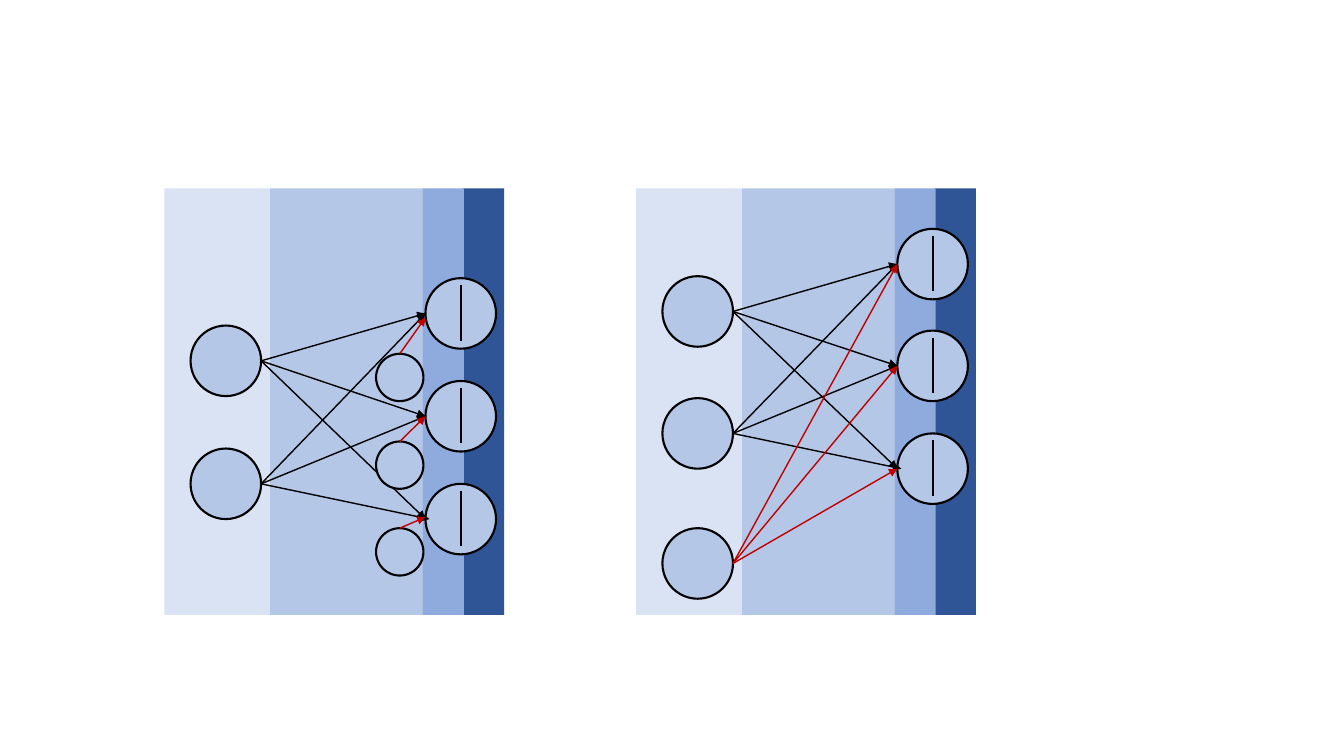
"""Draw two small neural networks, with separate bias nodes and with a shared bias input."""
from dataclasses import dataclass

from lxml import etree
from pptx import Presentation
from pptx import util as u
from pptx.dml.color import RGBColor
from pptx.enum import shapes
from pptx.oxml.ns import qn


@dataclass(frozen=True)
class Theme:
    """Hold colours and line widths."""
    input_band: str = "DAE3F3"
    weight_band: str = "B4C7E7"
    sum_band: str = "8FAADC"
    output_band: str = "2F5597"
    node: str = "B4C7E7"
    ink: str = "000000"
    bias: str = "C00000"
    outline: float = 1.5
    link: float = 1


NODE = 0.7
BIAS_NODE = 0.47
BAND_TOP = 1.87
BAND_HEIGHT = 4.23
INPUT_X = 0.26
OUTPUT_X = 2.59
BIAS_X = 2.1


class Diagram:
    """Draw network parts on one slide in one style."""

    def __init__(self, slide, theme):
        """Keep the slide and the style."""
        self.slide = slide
        self.theme = theme

    def start_network(self, left):
        """Open a group whose parts are placed from the given left edge."""
        self.group = self.slide.shapes.add_group_shape()
        self.left = left

    def shape(self, preset, x, y, width, height, fill):
        """Add a filled shape without a line."""
        shape = self.group.shapes.add_shape(
            preset, u.Inches(self.left + x), u.Inches(y), u.Inches(width), u.Inches(height))
        shape.shadow.inherit = False
        shape.fill.solid()
        shape.fill.fore_color.rgb = RGBColor.from_string(fill)
        shape.line.fill.background()
        return shape

    def bands(self):
        """Add the four layer bands."""
        theme = self.theme
        for x, width, fill in ((2.96, 0.41, theme.output_band), (0, 1.05, theme.input_band),
                               (1.05, 1.51, theme.weight_band), (2.56, 0.41, theme.sum_band)):
            self.shape(shapes.MSO_SHAPE.RECTANGLE, x, BAND_TOP, width, BAND_HEIGHT, fill)

    def node(self, x, y, size=NODE):
        """Add an outlined circle."""
        circle = self.shape(shapes.MSO_SHAPE.OVAL, x, y, size, size, self.theme.node)
        circle.line.color.rgb = RGBColor.from_string(self.theme.ink)
        circle.line.width = u.Pt(self.theme.outline)

    def line(self, start, end, color, width):
        """Add a straight line."""
        connector = self.group.shapes.add_connector(
            shapes.MSO_CONNECTOR.STRAIGHT,
            u.Inches(self.left + start[0]), u.Inches(start[1]),
            u.Inches(self.left + end[0]), u.Inches(end[1]))
        connector.line.color.rgb = RGBColor.from_string(color)
        connector.line.width = u.Pt(width)
        etree.SubElement(connector.element.spPr, qn("a:effectLst"))
        return connector

    def arrow(self, start, end, color):
        """Add a link with a triangular head."""
        connector = self.line(start, end, color, self.theme.link)
        outline = connector.element.spPr.find(qn("a:ln"))
        etree.SubElement(outline, qn("a:tailEnd"), type="triangle")

    def output_node(self, y):
        """Add a circle split by a vertical bar."""
        self.node(OUTPUT_X, y)
        x = OUTPUT_X + NODE / 2
        self.line((x, y + 0.07), (x, y + 0.62), self.theme.ink, self.theme.outline)

    def fan(self, input_y, outputs, color, last_shift=0):
        """Link one input to every output."""
        start = (INPUT_X + NODE, input_y + NODE / 2)
        for output_y in outputs:
            shift = last_shift if output_y == outputs[-1] else 0
            self.arrow(start, (OUTPUT_X + shift, output_y + NODE / 2), color)

    def network(self, left, inputs, outputs, shared_bias=None, biases=()):
        """Add a whole network; later bias nodes cover the links."""
        theme = self.theme
        self.start_network(left)
        self.bands()
        for y in outputs:
            self.output_node(y)
        for y in inputs:
            self.node(INPUT_X, y)
        for y in biases[:1]:
            self.node(BIAS_X, y, BIAS_NODE)
        for y in inputs:
            self.fan(y, outputs, theme.ink, 0.04 if y == inputs[-1] else 0)
        if shared_bias is not None:
            self.node(INPUT_X, shared_bias)
            self.fan(shared_bias, outputs, theme.bias)
        for y in biases[1:]:
            self.node(BIAS_X, y, BIAS_NODE)
        for y, output_y, drop in zip(biases, outputs, (0.04, 0, -0.02)):
            self.arrow((BIAS_X + BIAS_NODE / 2, y),
                       (OUTPUT_X, output_y + NODE / 2 + drop), theme.bias)


def main():
    """Build and save the slide."""
    presentation = Presentation()
    presentation.slide_width = u.Inches(13.33)
    presentation.slide_height = u.Inches(7.5)
    slide = presentation.slides.add_slide(presentation.slide_layouts[6])
    diagram = Diagram(slide, Theme())
    diagram.network(6.31, inputs=(2.74, 3.95), outputs=(2.27, 3.28, 4.3), shared_bias=5.24)
    diagram.network(1.63, inputs=(3.23, 4.45), outputs=(2.76, 3.78, 4.8),
                    biases=(3.51, 4.38, 5.24))
    presentation.save("out.pptx")


if __name__ == "__main__":
    main()
